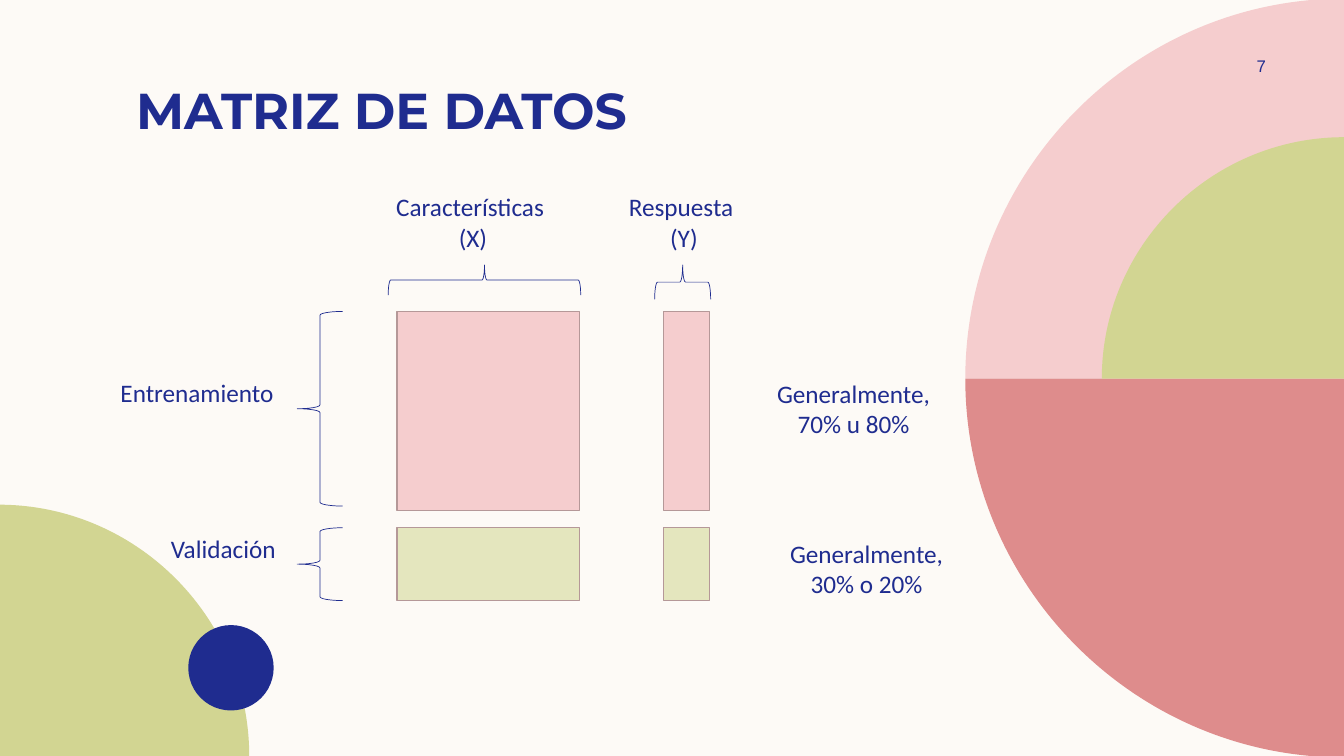
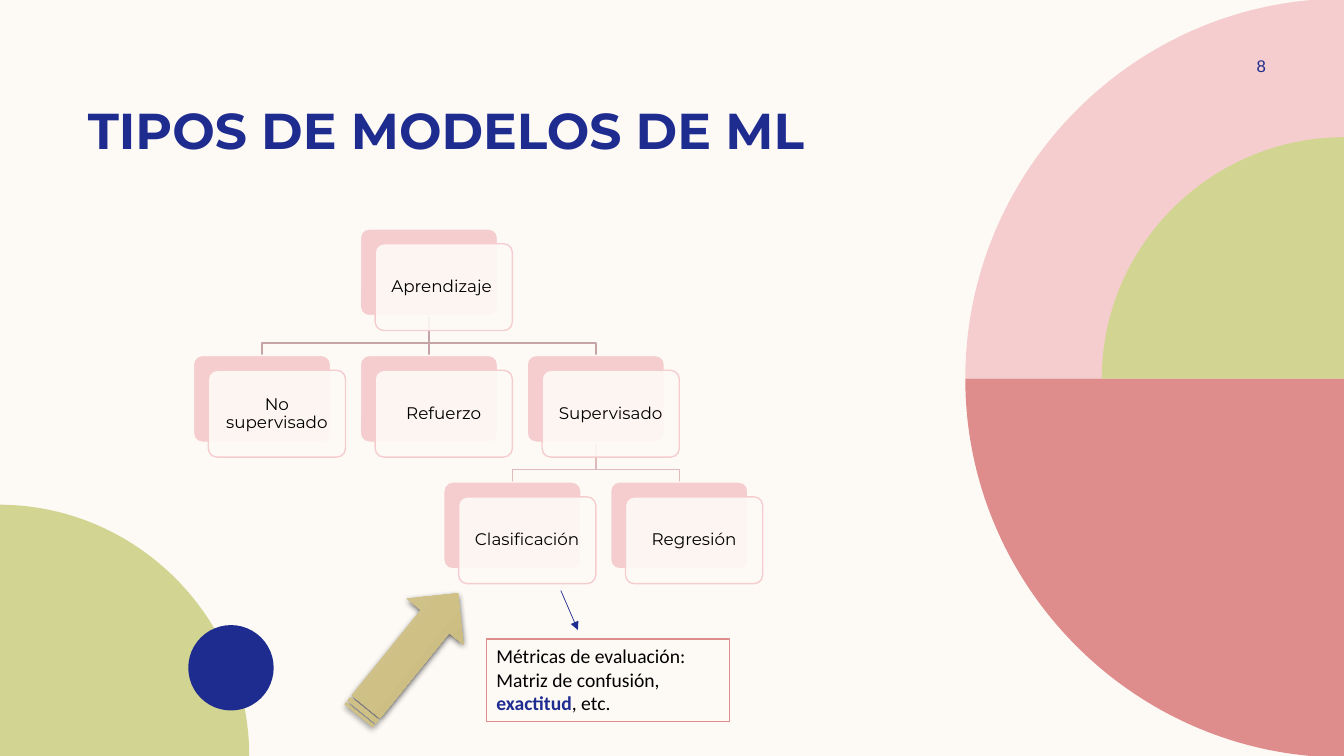
from copy import deepcopy

from lxml.etree import SubElement
from pptx import Presentation
from pptx.dml.color import RGBColor
from pptx.enum.shapes import MSO_CONNECTOR, MSO_SHAPE
from pptx.enum.text import MSO_ANCHOR, MSO_AUTO_SIZE, PP_ALIGN
from pptx.oxml.ns import qn
from pptx.util import Pt

CREAM, NAVY, BLACK = "FDFAF6", "1F2C8F", "000000"
PINK, ROSE, GREEN, PALE_GREEN = "F5CDCE", "DE8C8C", "D2D592", "E4E6BE"
CELL_LINE, UPPER_LINE, LOWER_LINE = "B59898", "C4A4A5", "DEBABB"
SLIDE_WIDTH, SLIDE_HEIGHT = 960, 540
CIRCLE_HANDLE = 0.55  # handle length of a quarter circle, in radii


def color(hex_string):
    """Turn a hex string into a colour."""
    return RGBColor.from_string(hex_string)


def points(*lengths):
    """Turn numbers into lengths in points."""
    return [Pt(length) for length in lengths]


def paint(shape, fill=None, line=None, width=1):
    """Set fill and outline, and take the shadow away."""
    shape.shadow.inherit = False
    if fill:
        shape.fill.solid()
        shape.fill.fore_color.rgb = color(fill)
    else:
        shape.fill.background()
    if line:
        shape.line.color.rgb = color(line)
        shape.line.width = Pt(width)
    else:
        shape.line.fill.background()


def add_preset(slide, preset, box, fill=None, line=None, width=1):
    """Add a painted preset shape in a box of points."""
    shape = slide.shapes.add_shape(preset, *points(*box))
    paint(shape, fill, line, width)
    return shape


def write(shape, runs, font, size, align=PP_ALIGN.LEFT, anchor=MSO_ANCHOR.TOP):
    """Write (text, colour, bold) runs; a newline is a line break."""
    frame = shape.text_frame
    frame.word_wrap = True
    frame.vertical_anchor = anchor
    paragraph = frame.paragraphs[0]
    paragraph.alignment = align
    for text, ink, bold in runs:
        for index, piece in enumerate(text.split("\n")):
            if index:
                paragraph.add_line_break()
            run = paragraph.add_run()
            run.text = piece
            run.font.name, run.font.size, run.font.bold = font, Pt(size), bold
            run.font.color.rgb = color(ink)
    return paragraph


def add_label(slide, box, text, align=PP_ALIGN.CENTER):
    """Add a navy label that grows with its text."""
    label = slide.shapes.add_textbox(*points(*box))
    write(label, [(text, NAVY, False)], "Calibri", 18, align)
    label.text_frame.auto_size = MSO_AUTO_SIZE.SHAPE_TO_FIT_TEXT


def add_quarter_disc(slide, center, across, down, fill):
    """Add a quarter disc reaching (across, down) from its centre, with one curve."""
    builder = slide.shapes.build_freeform(*points(*center), scale=1.0)
    builder.add_line_segments([points(center[0] + across, center[1]),
                               points(center[0], center[1] + down)], close=True)
    disc = builder.convert_to_shape()
    paint(disc, fill)
    middle, start, end = [(int(corner.get("x")), int(corner.get("y")))
                          for corner in disc.element.xpath(".//a:path//a:pt")]
    handles = [[near[axis] + round(CIRCLE_HANDLE * (far[axis] - middle[axis]))
                for axis in (0, 1)]
               for near, far in ((start, end), (end, start))]
    curve = disc.element.xpath(".//a:path/a:lnTo")[1]
    curve.tag = qn("a:cubicBezTo")
    for index, (x, y) in enumerate(handles):
        handle = deepcopy(curve[index])
        handle.set("x", str(x))
        handle.set("y", str(y))
        curve.insert(index, handle)


def decorate_layout(layout, slide):
    """Give the layout its background and its corner discs, drawn on a new slide."""
    layout.background.fill.solid()
    layout.background.fill.fore_color.rgb = color(CREAM)
    title_count = len(slide.shapes)
    right_center = (SLIDE_WIDTH, 270.5)
    add_quarter_disc(slide, right_center, -270.5, -271.5, PINK)
    add_quarter_disc(slide, right_center, -270.5, 270.5, ROSE)
    add_quarter_disc(slide, right_center, -173, -172.5, GREEN)
    add_quarter_disc(slide, (-1, SLIDE_HEIGHT), 179, -179.5, GREEN)
    add_preset(slide, MSO_SHAPE.OVAL, (134.5, 446.5, 61, 61), NAVY)
    for index, shape in enumerate(list(slide.shapes)[title_count:]):
        shape.element.xpath(".//p:cNvPr")[0].set("id", str(101 + index))
        layout.shapes.element.insert(2 + index, shape.element)


def add_heading(slide, box, text, number):
    """Fill the title placeholder and add the page number."""
    title = slide.shapes.title
    title.left, title.top, title.width, title.height = points(*box)
    paragraph = write(title, [(text, NAVY, True)], "Montserrat", 36,
                      anchor=MSO_ANCHOR.MIDDLE)
    paragraph.line_spacing = 0.9
    title.text_frame.margin_bottom = Pt(8.5)
    title.text_frame.auto_size = MSO_AUTO_SIZE.NONE
    page = slide.shapes.add_textbox(*points(862, 36, 78, 21.6))
    write(page, [(number, NAVY, False)], "Arial", 12, PP_ALIGN.CENTER, MSO_ANCHOR.MIDDLE)


def add_top_brace(slide, left, top, width, height):
    """Add a brace that opens downwards and fills the given box."""
    box = (left + (width - height) / 2, top + (height - width) / 2, height, width)
    brace = add_preset(slide, MSO_SHAPE.LEFT_BRACE, box, line=NAVY, width=0.5)
    brace.rotation = 90


def add_data_matrix(slide, left, top):
    """Draw the split data matrix, its braces and its labels."""
    columns = [(left, 130.5, 21.5), (left + 190.3, 33, 24.5)]
    rows = [(top, 142, 139, PINK), (top + 154.5, 52, 52, PALE_GREEN)]
    for row_top, height, brace_height, fill in rows:
        for column_left, width, _ in columns:
            add_preset(slide, MSO_SHAPE.RECTANGLE, (column_left, row_top, width, height),
                       fill, CELL_LINE)
        add_preset(slide, MSO_SHAPE.LEFT_BRACE, (left - 71.2, row_top, 32.5, brace_height),
                   line=NAVY, width=0.5)
    for column_left, width, height in columns:
        add_top_brace(slide, column_left - 6.2, top - 33.2, width + 7, height)
    add_label(slide, (left - 204.5, top + 43.2, 150, 29), "Entrenamiento", PP_ALIGN.LEFT)
    add_label(slide, (left - 168.5, top + 155, 150, 29), "Validación", PP_ALIGN.LEFT)
    add_label(slide, (left - 18.7, top - 89.2, 146, 51), "Características \n(X)")
    add_label(slide, (left + 140.5, top - 89.2, 125, 51), "Respuesta\n (Y)")
    add_label(slide, (left + 257.2, top + 44, 138, 51), "Generalmente, 70% u 80%")
    add_label(slide, (left + 266.5, top + 158.5, 138, 51), "Generalmente, 30% o 20%")


def add_card(slide, left, top, width, height, text):
    """Draw a pink card with a see-through text card set off in front of it."""
    offset = 10.6
    back = add_preset(slide, MSO_SHAPE.ROUNDED_RECTANGLE, (left, top, width, height),
                      PINK, CREAM)
    front = add_preset(slide, MSO_SHAPE.ROUNDED_RECTANGLE,
                       (left + offset, top + offset, width, height), CREAM, PINK)
    back.adjustments[0] = front.adjustments[0] = 0.1
    fill_color = front.element.spPr.find(qn("a:solidFill"))[0]
    SubElement(fill_color, qn("a:alpha")).set("val", "90000")
    frame = front.text_frame
    frame.margin_left = frame.margin_right = Pt(5.5)
    frame.margin_top = frame.margin_bottom = Pt(5.5)
    paragraph = write(front, [(text, BLACK, False)], "Montserrat", 12,
                      PP_ALIGN.CENTER, MSO_ANCHOR.MIDDLE)
    paragraph.line_spacing = 0.9


def add_branch(slide, start, end, line):
    """Join a parent to a child with a straight or stepped outline."""
    if start[0] == end[0]:
        margin = 3.6
        builder = slide.shapes.build_freeform(*points(start[0] - margin, start[1]), scale=1.0)
        builder.move_to = builder.add_line_segments
        builder = slide.shapes.build_freeform(*points(start[0] - margin, start[1]), scale=1.0)
        builder.move_to(*points(*start))
    else:
        builder = slide.shapes.build_freeform(*points(*start), scale=1.0)
    bend = start[1] + 0.69 * (end[1] - start[1])
    corners = [] if start[0] == end[0] else [points(start[0], bend), points(end[0], bend)]
    builder.add_line_segments(corners + [points(*end)], close=False)
    if start[0] == end[0]:
        builder.move_to(*points(end[0] + margin, end[1]))
    paint(builder.convert_to_shape(), line=line)


def add_learning_tree(slide, left, top):
    """Draw the tree of learning types on a grid of cards."""
    width, height, column_step, row_step = 98, 62, 119.2, 90.4
    cards = {  # text: (column, row, parent)
        "Aprendizaje ": (1, 0, None),
        "No supervisado": (0, 1, "Aprendizaje "),
        "Refuerzo": (1, 1, "Aprendizaje "),
        "Supervisado": (2, 1, "Aprendizaje "),
        "Clasificación": (1.5, 2, "Supervisado"),
        "Regresión": (2.5, 2, "Supervisado"),
    }
    corners = {text: (left + column * column_step, top + row * row_step)
               for text, (column, row, _) in cards.items()}
    for text, (_, row, parent) in cards.items():
        if parent:
            parent_left, parent_top = corners[parent]
            child_left, child_top = corners[text]
            add_branch(slide, (parent_left + width / 2, parent_top + height),
                       (child_left + width / 2, child_top),
                       UPPER_LINE if row == 1 else LOWER_LINE)
    for text, corner in corners.items():
        add_card(slide, *corner, width, height, text)


def add_gold_arrow(slide, box):
    """Add the tilted gold arrow with its gradient and soft shadow."""
    arrow = add_preset(slide, MSO_SHAPE.STRIPED_RIGHT_ARROW, box)
    arrow.rotation = 309
    arrow.fill.gradient()
    arrow.fill.gradient_angle = 270
    for stop, shade in zip(arrow.fill.gradient_stops, ("D2C697", "BCAD73")):
        stop.color.rgb = color(shade)
    stops = arrow.element.spPr.find(qn("a:gradFill")).find(qn("a:gsLst"))
    middle = deepcopy(stops[0])
    middle.set("pos", "50000")
    middle[0].set("val", "CFC086")
    stops.insert(1, middle)
    effects = arrow.element.spPr.find(qn("a:effectLst"))
    shadow = SubElement(effects, qn("a:outerShdw"), blurRad=str(Pt(4.5)),
                        dist=str(Pt(1.5)), dir="5400000", rotWithShape="0")
    shade = SubElement(shadow, qn("a:srgbClr"), val=BLACK)
    SubElement(shade, qn("a:alpha"), val="63000")


def add_metrics_note(slide, left, top):
    """Add the boxed note on metrics and the thin arrow that leads to it."""
    note = add_preset(slide, MSO_SHAPE.RECTANGLE, (left, top, 173.5, 59), CREAM, ROSE)
    write(note, [("Métricas de evaluación: \nMatriz de confusión, ", BLACK, False),
                 ("exactitud", NAVY, True), (", etc.", BLACK, False)], "Calibri", 14)
    note.text_frame.auto_size = MSO_AUTO_SIZE.SHAPE_TO_FIT_TEXT
    pointer = slide.shapes.add_connector(
        MSO_CONNECTOR.STRAIGHT,
        *points(left + 53.2, top - 34.7, left + 65.4, top - 6.5))
    pointer.line.color.rgb = color(NAVY)
    pointer.line.width = Pt(0.5)
    SubElement(pointer.element.spPr.find(qn("a:ln")), qn("a:tailEnd"), type="triangle")
    SubElement(pointer.element.spPr, qn("a:effectLst"))


def build_matrix_slide(slide):
    """Build the slide on the data matrix."""
    add_heading(slide, (90, 53, 533, 60.5), "MATRIZ DE DATOS", "7")
    add_data_matrix(slide, 283.5, 222.5)


def build_models_slide(slide):
    """Build the slide on the types of models."""
    add_heading(slide, (55.5, 67.5, 669, 60.5), "TIPOS DE MODELOS DE ML", "8")
    add_learning_tree(slide, 138.2, 163.5)
    add_gold_arrow(slide, (235.5, 441.5, 112.5, 52))
    add_metrics_note(slide, 347.4, 456.5)


def main():
    """Build and save the presentation."""
    presentation = Presentation()
    presentation.slide_width, presentation.slide_height = points(SLIDE_WIDTH, SLIDE_HEIGHT)
    layout = presentation.slide_layouts[5]
    matrix_slide = presentation.slides.add_slide(layout)
    decorate_layout(layout, matrix_slide)
    build_matrix_slide(matrix_slide)
    build_models_slide(presentation.slides.add_slide(layout))
    presentation.save("out.pptx")


main()
